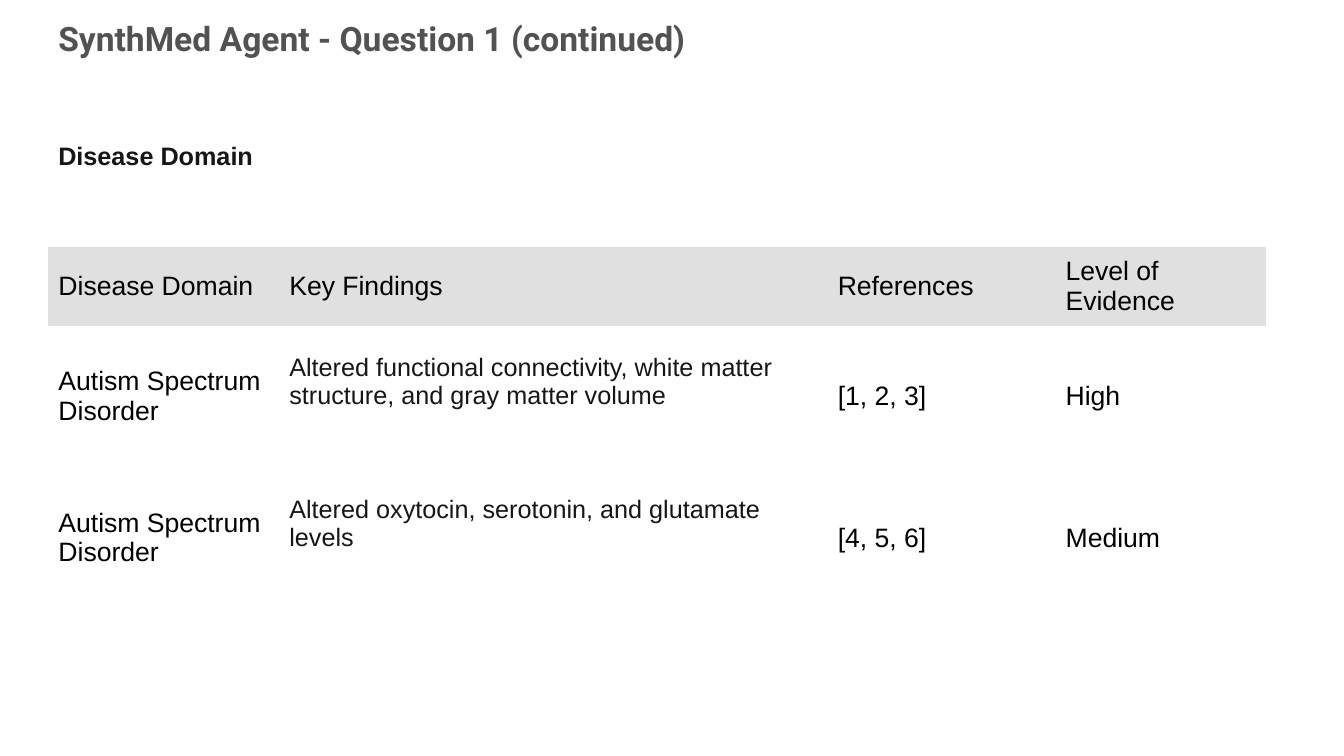
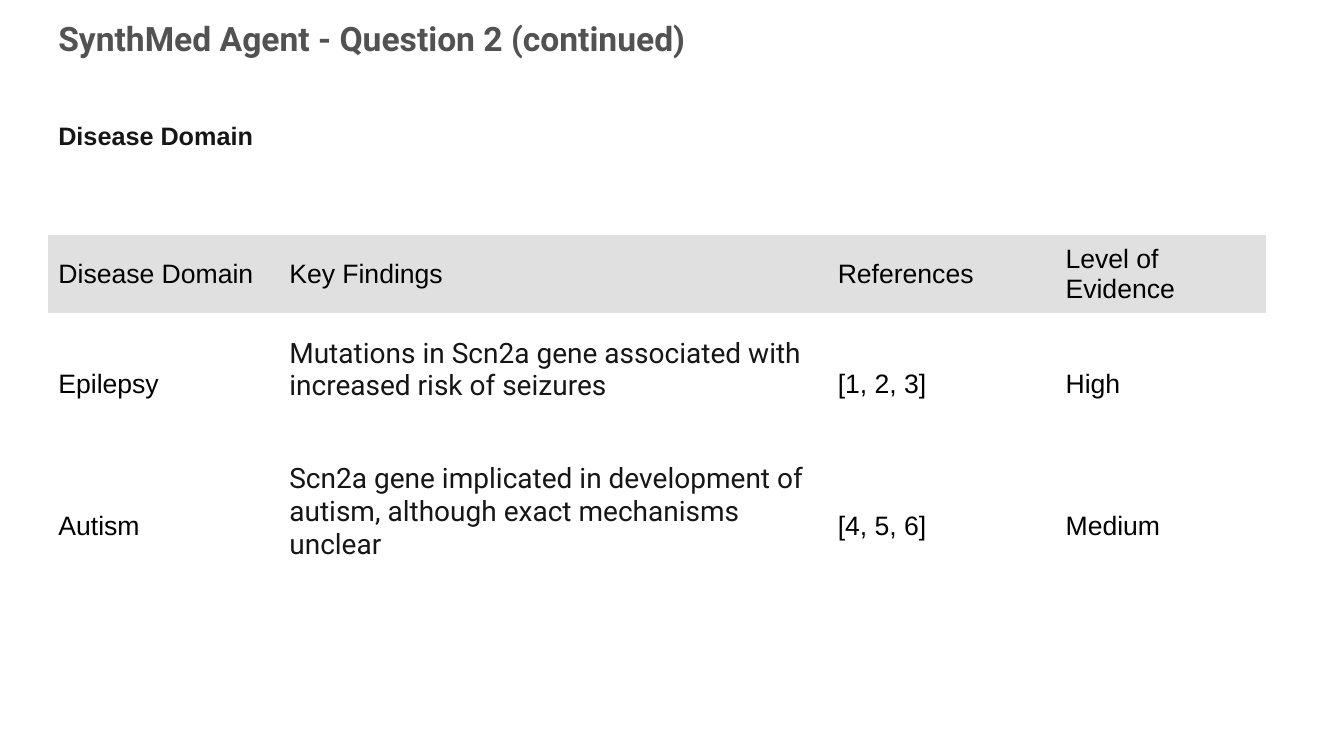
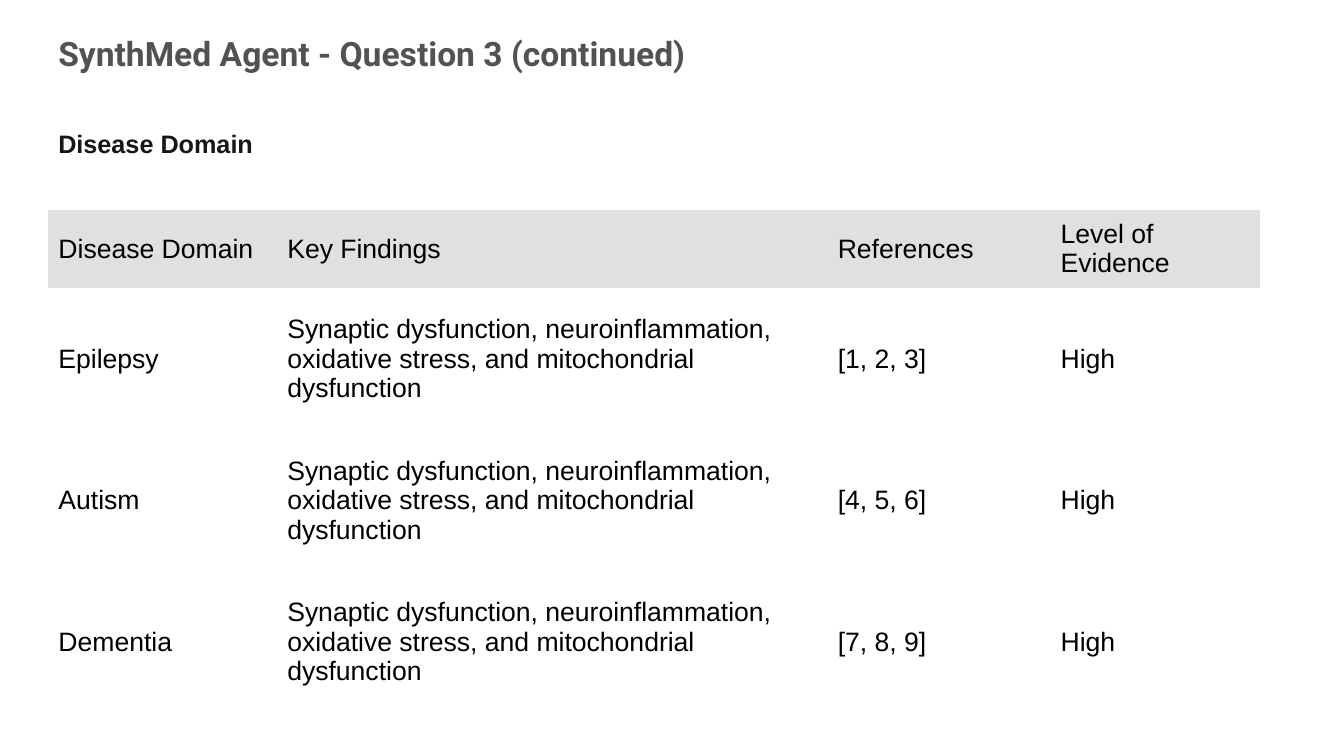
"""Build the three Disease Domain slides of the SynthMed Agent deck."""
from dataclasses import dataclass

from pptx import Presentation
from pptx import util as u
from pptx.dml.color import RGBColor
from pptx.enum import shapes, text
from pptx.oxml.ns import qn


@dataclass(frozen=True)
class Theme:
    """Colours, type styles and lengths shared by the slides."""
    band = "E0E0E0"
    paper = "FFFFFF"
    title = {"name": "Roboto", "size": 24, "bold": True, "color": "525252"}
    heading = {"name": "Arial", "size": 18, "bold": True, "color": "161616"}
    cell = {"name": "Arial", "size": 19, "bold": False, "color": "000000"}
    small_finding = {"name": "Arial", "size": 18, "bold": False, "color": "161616"}
    roboto_finding = {"name": "Roboto", "size": 20, "bold": False, "color": "161616"}
    slide_width = 13.33
    slide_height = 7.5
    left = 0.48
    label_width = 6.66
    header_height = 0.78
    inset = 0.05
    raised_inset = 0.34
    plain_table = "{2D5ABB26-0587-4C30-8999-92F81FD0307C}"


THEME = Theme()
HEADER = ("Disease Domain", "Key Findings", "References", "Level of Evidence")
FINDINGS_COLUMN = HEADER.index("Key Findings")
WIDE_COLUMNS = (2.29, 5.44, 2.26, 2.09)
DYSFUNCTION = ("Synaptic dysfunction, neuroinflammation, oxidative stress, "
               "and mitochondrial dysfunction")

QUESTIONS = (
    {
        "title_top": 0.13, "heading_top": 1.34, "heading_panel": False,
        "table_top": 2.45, "table_height": 3.59,
        "columns": WIDE_COLUMNS, "finding": THEME.small_finding,
        "evidence": (
            ("Autism Spectrum Disorder",
             "Altered functional connectivity, white matter structure, and gray matter volume",
             "[1, 2, 3]", "High"),
            ("Autism Spectrum Disorder",
             "Altered oxytocin, serotonin, and glutamate levels",
             "[4, 5, 6]", "Medium"),
        ),
    },
    {
        "title_top": 0.13, "heading_top": 1.14, "heading_panel": True,
        "table_top": 2.33, "table_height": 3.6,
        "columns": WIDE_COLUMNS, "finding": THEME.roboto_finding,
        "evidence": (
            ("Epilepsy",
             "Mutations in Scn2a gene associated with increased risk of seizures",
             "[1, 2, 3]", "High"),
            ("Autism",
             "Scn2a gene implicated in development of autism, although exact mechanisms unclear",
             "[4, 5, 6]", "Medium"),
        ),
    },
    {
        "title_top": 0.28, "heading_top": 1.22, "heading_panel": False,
        "table_top": 2.08, "table_height": 4.99,
        "columns": (2.27, 5.46, 2.21, 2.08), "finding": THEME.cell,
        "evidence": (
            ("Epilepsy", DYSFUNCTION, "[1, 2, 3]", "High"),
            ("Autism", DYSFUNCTION, "[4, 5, 6]", "High"),
            ("Dementia", DYSFUNCTION, "[7, 8, 9]", "High"),
        ),
    },
)


def paint(fill, color):
    """Give a fill one solid colour."""
    fill.solid()
    fill.fore_color.rgb = RGBColor.from_string(color)


def write(frame, wording, style):
    """Write one left-aligned run of text in the given style."""
    paragraph = frame.paragraphs[0]
    paragraph.alignment = text.PP_ALIGN.LEFT
    run = paragraph.add_run()
    run.text = wording
    values = dict(style, size=u.Pt(style["size"]))
    run.font.color.rgb = RGBColor.from_string(values.pop("color"))
    for attribute, value in values.items():
        setattr(run.font, attribute, value)


def add_label(slide, wording, top, height, style, panel=False):
    """Add a line of text at the margin, on a full-width white panel if asked."""
    width = THEME.slide_width - THEME.left if panel else THEME.label_width
    place = [u.Inches(length) for length in (THEME.left, top, width, height)]
    options = {"word_wrap": True, "auto_size": text.MSO_AUTO_SIZE.SHAPE_TO_FIT_TEXT}
    if panel:
        label = slide.shapes.add_shape(shapes.MSO_SHAPE.RECTANGLE, *place)
        label.shadow.inherit = False
        paint(label.fill, THEME.paper)
        label.line.fill.background()
        options["vertical_anchor"] = text.MSO_ANCHOR.MIDDLE
    else:
        label = slide.shapes.add_textbox(*place)
    for attribute, value in options.items():
        setattr(label.text_frame, attribute, value)
    write(label.text_frame, wording, style)


def fill_cell(cell, wording, style, band=None, bottom=THEME.inset):
    """Set the text, background and layout of a table cell."""
    layout = {
        "vertical_anchor": text.MSO_ANCHOR.MIDDLE,
        "margin_top": u.Inches(THEME.inset),
        "margin_bottom": u.Inches(bottom),
    }
    for attribute, value in layout.items():
        setattr(cell, attribute, value)
    if band:
        paint(cell.fill, band)
    else:
        cell.fill.background()
    write(cell.text_frame, wording, style)


def add_evidence_table(slide, top, height, columns, evidence, finding):
    """Add the table of findings, in equal rows below a shaded header."""
    row_height = (height - THEME.header_height) / len(evidence)
    heights = [THEME.header_height] + [row_height] * len(evidence)
    holder = slide.shapes.add_table(
        len(heights), len(columns),
        *map(u.Inches, (THEME.left, top, sum(columns), height)))
    table = holder.table
    for flag in ("first_row", "horz_banding"):
        setattr(table, flag, False)
    next(holder.element.iter(qn("a:tableStyleId"))).text = THEME.plain_table
    for column, width in zip(table.columns, columns):
        column.width = u.Inches(width)
    for row, depth in zip(table.rows, heights):
        row.height = u.Inches(depth)

    raised = THEME.inset if finding is THEME.cell else THEME.raised_inset
    for index, wording in enumerate(HEADER):
        fill_cell(table.cell(0, index), wording, THEME.cell, THEME.band)
    for number, entry in enumerate(evidence, start=1):
        for index, wording in enumerate(entry):
            cell = table.cell(number, index)
            if index == FINDINGS_COLUMN:
                fill_cell(cell, wording, finding, bottom=raised)
            else:
                fill_cell(cell, wording, THEME.cell)


def add_question(deck, number, question):
    """Add the slide of one question."""
    slide = deck.slides.add_slide(deck.slide_layouts[6])
    add_label(slide, f"SynthMed Agent - Question {number} (continued)",
              question["title_top"], 0.5, THEME.title)
    add_label(slide, HEADER[0], question["heading_top"], 0.4, THEME.heading,
              question["heading_panel"])
    add_evidence_table(slide, question["table_top"], question["table_height"],
                       question["columns"], question["evidence"], question["finding"])


def main():
    """Build and save the deck."""
    deck = Presentation()
    deck.slide_width = u.Inches(THEME.slide_width)
    deck.slide_height = u.Inches(THEME.slide_height)
    for number, question in enumerate(QUESTIONS, start=1):
        add_question(deck, number, question)
    deck.save("out.pptx")


if __name__ == "__main__":
    main()
